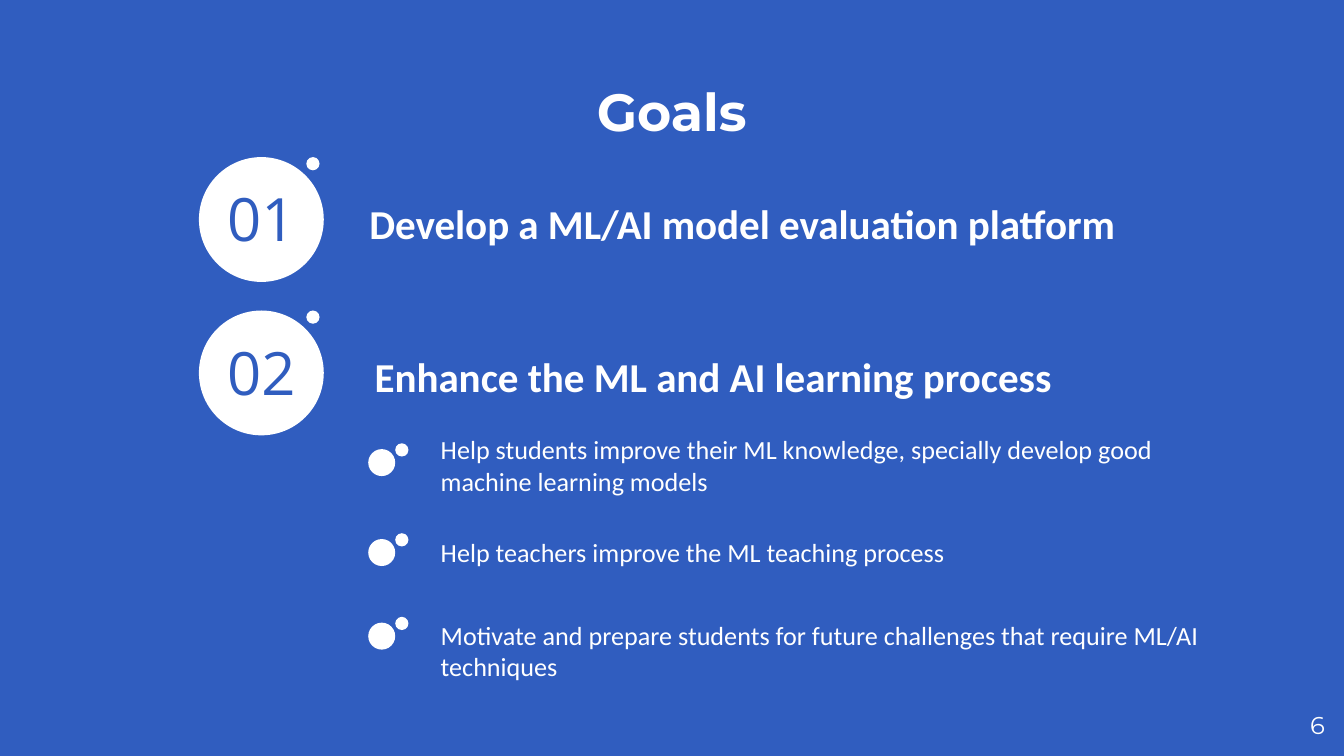
from pptx import Presentation
from pptx.dml.color import RGBColor
from pptx.enum.shapes import MSO_SHAPE as Shape
from pptx.enum.text import MSO_ANCHOR as Anchor, PP_ALIGN as Align
from pptx.util import Cm, Pt

BLUE = "305DBF"
WHITE = "FFFFFF"
DOT_SIZE = 0.25

GOALS = [
    ("01", 2.97, 6.73, "Develop a ML/AI model evaluation platform"),
    ("02", 5.87, 6.83, "Enhance the ML and AI learning process"),
]
STEPS = [
    (8.38, 7.95, 14.68, 2.36,
     "Help students improve their ML knowledge, specially develop good machine learning models"),
    (10.08, 9.88, 14.5, 1.07, "Help teachers improve the ML teaching process"),
    (11.66, 11.46, 15.44, 1.07,
     "Motivate and prepare students for future challenges that require ML/AI techniques"),
]


def color(hex_code):
    """Return the colour for a hex string."""
    return RGBColor.from_string(hex_code)


def add_circle(slide, left, top, size):
    """Add a plain white circle."""
    shape = slide.shapes.add_shape(Shape.OVAL, Cm(left), Cm(top), Cm(size), Cm(size))
    shape.shadow.inherit = False
    shape.fill.solid()
    shape.fill.fore_color.rgb = color(WHITE)
    shape.line.fill.background()


def add_text(slide, box, text, size, font="Calibri", hex_code=WHITE,
             bold=False, align=Align.LEFT, anchor=Anchor.TOP):
    """Add a wrapped text box with one run."""
    shape = slide.shapes.add_textbox(*map(Cm, box))
    frame = shape.text_frame
    frame.word_wrap = True
    frame.vertical_anchor = anchor
    frame.margin_left = frame.margin_right = Cm(0.25)
    frame.margin_top = frame.margin_bottom = Cm(0.25)
    paragraph = frame.paragraphs[0]
    paragraph.alignment = align
    run = paragraph.add_run()
    run.text = text
    run.font.name = font
    run.font.size = Pt(size)
    run.font.bold = bold
    run.font.color.rgb = color(hex_code)


def add_goal(slide, number, top, heading_left, heading):
    """Add a numbered circle with its dot and heading."""
    add_circle(slide, 3.76, top, 2.36)
    add_circle(slide, 5.79, top, DOT_SIZE)
    add_text(slide, (3.89, top + 0.23, 2.1, 1.85), number, 32, "Open Sans", BLUE,
             align=Align.CENTER, anchor=Anchor.BOTTOM)
    add_text(slide, (heading_left, top + 0.53, 15.8, 1.27), heading, 22, bold=True)


def add_step(slide, top, text_top, width, height, text):
    """Add a pair of dots and the text beside them."""
    add_circle(slide, 6.96, top + 0.11, 0.51)
    add_circle(slide, 7.47, top, DOT_SIZE)
    add_text(slide, (8.08, text_top, width, height), text, 14)


def main():
    """Build and save the goals slide."""
    presentation = Presentation()
    presentation.slide_width = Cm(25.4)
    presentation.slide_height = Cm(14.29)
    slide = presentation.slides.add_slide(presentation.slide_layouts[6])
    slide.background.fill.solid()
    slide.background.fill.fore_color.rgb = color(BLUE)
    add_text(slide, (0.86, 1.24, 23.67, 1.6), "Goals", 28, "Montserrat",
             bold=True, align=Align.CENTER)
    for goal in GOALS:
        add_goal(slide, *goal)
    for step in STEPS:
        add_step(slide, *step)
    add_text(slide, (23.77, 13.18, 1.52, 1.09), "6", 13, "Montserrat", align=Align.RIGHT)
    presentation.save("out.pptx")


if __name__ == "__main__":
    main()
